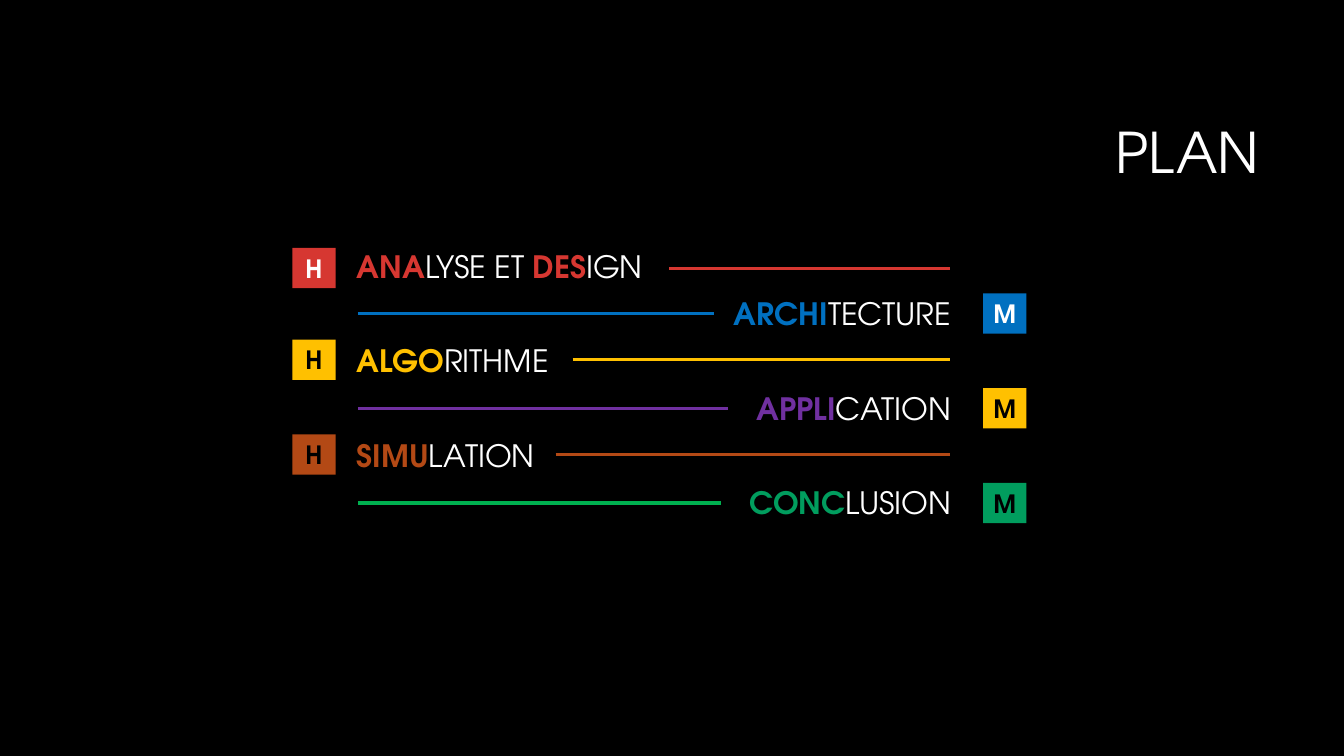
from lxml.etree import SubElement
from pptx import Presentation
from pptx.dml.color import RGBColor
from pptx.enum.shapes import MSO_CONNECTOR, MSO_SHAPE
from pptx.enum.text import MSO_ANCHOR, PP_ALIGN
from pptx.oxml.ns import qn
from pptx.util import Inches, Pt

COLORS = {
    "black": "000000", "white": "FFFFFF", "red": "D63731", "blue": "0070C0",
    "yellow": "FFC000", "purple": "7030A0", "brown": "B34915",
    "emerald": "019D5E", "green": "00B050",
}

# Middle, line start and end, line color, badge color, badge letter color,
# and text parts: a part with a color is bold, the others are white
ROWS = [
    (2.66, 6.64, 9.42, "red", "red", "white",
     [("ANA", "red"), ("LYSE ET ", None), ("DES", "red"), ("IGN", None)]),
    (3.11, 3.55, 7.08, "blue", "blue", "white",
     [("ARCHI", "blue"), ("TECTURE", None)]),
    (3.57, 5.68, 9.42, "yellow", "yellow", "black",
     [("ALGO", "yellow"), ("RITHME", None)]),
    (4.05, 3.55, 7.22, "purple", "yellow", "black",
     [("APPLI", "purple"), ("CATION", None)]),
    (4.51, 5.51, 9.42, "brown", "brown", "black",
     [("SIMU", "brown"), ("LATION", None)]),
    (4.99, 3.55, 7.15, "green", "emerald", "black",
     [("CONC", "emerald"), ("LUSION", None)]),
]
# Badge letter, badge left and text alignment of alternating rows
SIDES = [("H", 2.9, PP_ALIGN.LEFT), ("M", 9.75, PP_ALIGN.RIGHT)]
BADGE_WIDTH, BADGE_HEIGHT = 0.43, 0.4


class PlanSlide:
    font = "TeX Gyre Adventor"

    def __init__(self, presentation):
        self.slide = presentation.slides.add_slide(presentation.slide_layouts[5])
        fill = self.slide.background.fill
        fill.solid()
        fill.fore_color.rgb = self.color("black")

    def color(self, name):
        return RGBColor.from_string(COLORS[name])

    def run(self, paragraph, text, size, color, bold=False):
        run = paragraph.add_run()
        run.text = text
        run.font.name = self.font
        run.font.size = Pt(size)
        run.font.bold = bold
        run.font.color.rgb = self.color(color)

    def title(self, text, left, top, width, height):
        title = self.slide.shapes.title
        title.left, title.top = Inches(left), Inches(top)
        title.width, title.height = Inches(width), Inches(height)
        title.text_frame.vertical_anchor = MSO_ANCHOR.MIDDLE
        paragraph = title.text_frame.paragraphs[0]
        paragraph.alignment = PP_ALIGN.RIGHT
        paragraph.line_spacing = 0.9
        self.run(paragraph, text, 40, color="white")

    def agenda(self, items, left, top, width, height):
        box = self.slide.shapes.add_textbox(
            Inches(left), Inches(top), Inches(width), Inches(height))
        frame = box.text_frame
        frame.word_wrap = True
        for index, (parts, alignment) in enumerate(items):
            paragraph = frame.add_paragraph() if index else frame.paragraphs[0]
            paragraph.alignment = alignment
            paragraph.line_spacing = 0.9
            paragraph.space_before = Pt(10)
            for text, accent in parts:
                self.run(paragraph, text, 22, accent or "white", bold=bool(accent))

    def line(self, start, end, middle, color):
        connector = self.slide.shapes.add_connector(
            MSO_CONNECTOR.STRAIGHT,
            Inches(start), Inches(middle), Inches(end), Inches(middle))
        connector.line.color.rgb = self.color(color)
        connector.line.width = Pt(2.25)
        SubElement(connector._element.spPr, qn("a:effectLst"))

    def badge(self, letter, left, middle, fill, text_color):
        shape = self.slide.shapes.add_shape(
            MSO_SHAPE.RECTANGLE, Inches(left), Inches(middle - BADGE_HEIGHT / 2),
            Inches(BADGE_WIDTH), Inches(BADGE_HEIGHT))
        shape.shadow.inherit = False
        shape.fill.solid()
        shape.fill.fore_color.rgb = self.color(fill)
        shape.line.fill.background()
        frame = shape.text_frame
        frame.margin_left = frame.margin_right = 0
        frame.vertical_anchor = MSO_ANCHOR.MIDDLE
        paragraph = frame.paragraphs[0]
        paragraph.alignment = PP_ALIGN.CENTER
        self.run(paragraph, letter, 18, text_color, bold=True)


def main():
    presentation = Presentation()
    presentation.slide_width = Inches(13.33)
    presentation.slide_height = Inches(7.5)
    plan = PlanSlide(presentation)

    # Title and agenda text
    plan.title("PLAN", 3.17, 0.84, 9.42, 1.41)
    items = [(row[-1], SIDES[index % 2][2]) for index, row in enumerate(ROWS)]
    plan.agenda(items, 3.44, 2.45, 6.09, 4.4)

    # Lines and speaker badges, alternating sides
    for index, (middle, start, end, line, fill, text_color, _) in enumerate(ROWS):
        letter, left, _ = SIDES[index % 2]
        plan.line(start, end, middle, line)
        plan.badge(letter, left, middle, fill, text_color)

    presentation.save("out.pptx")


if __name__ == "__main__":
    main()
